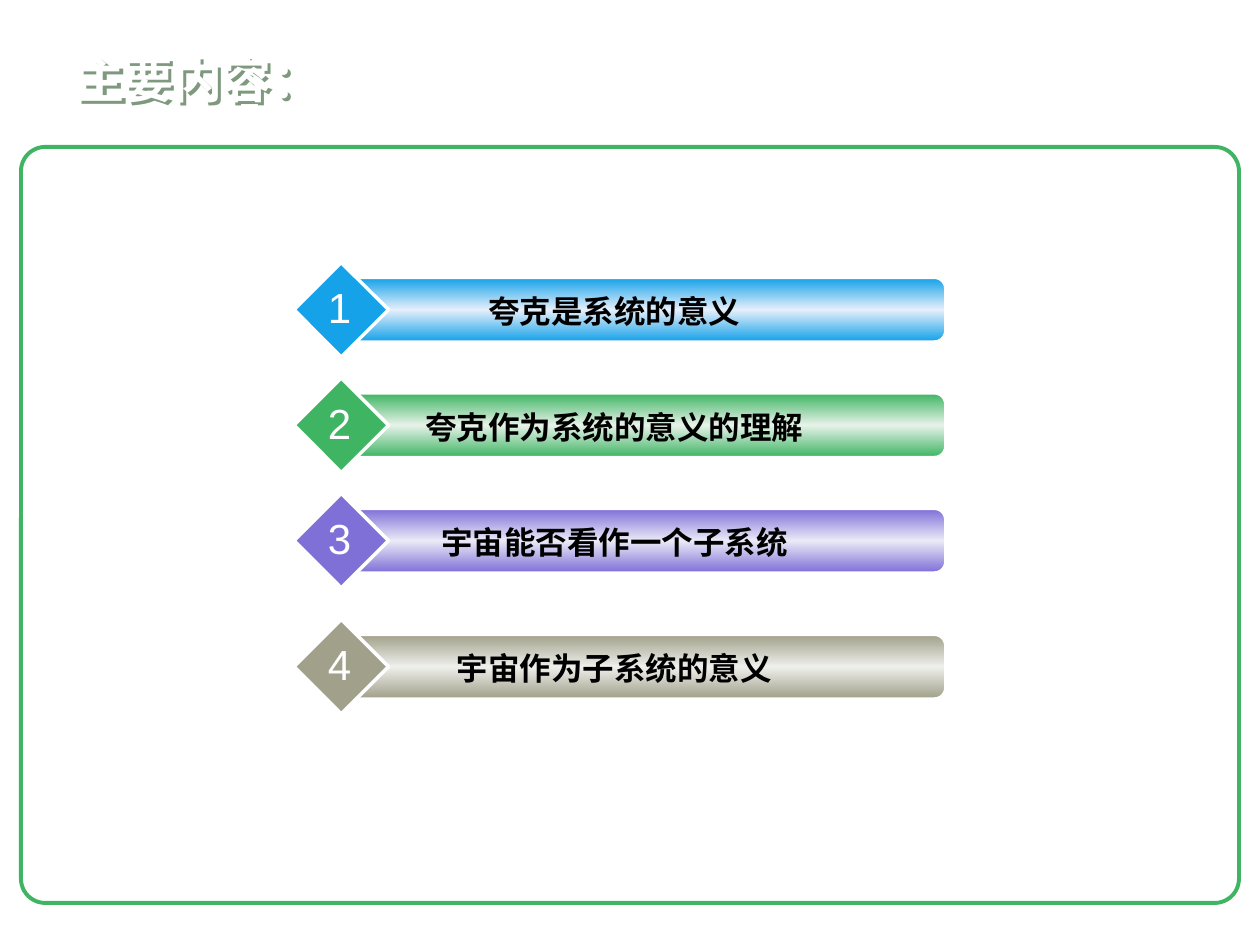
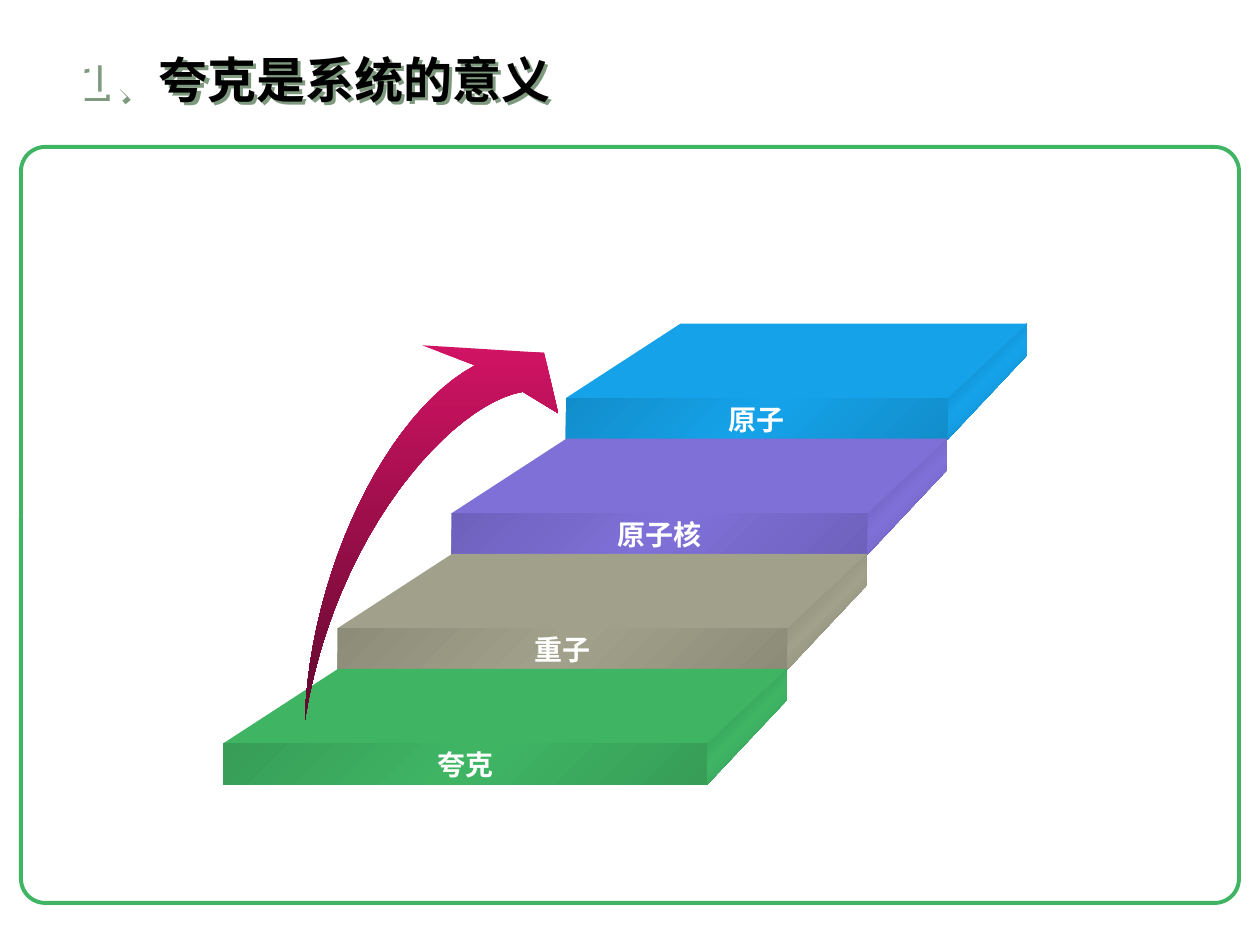
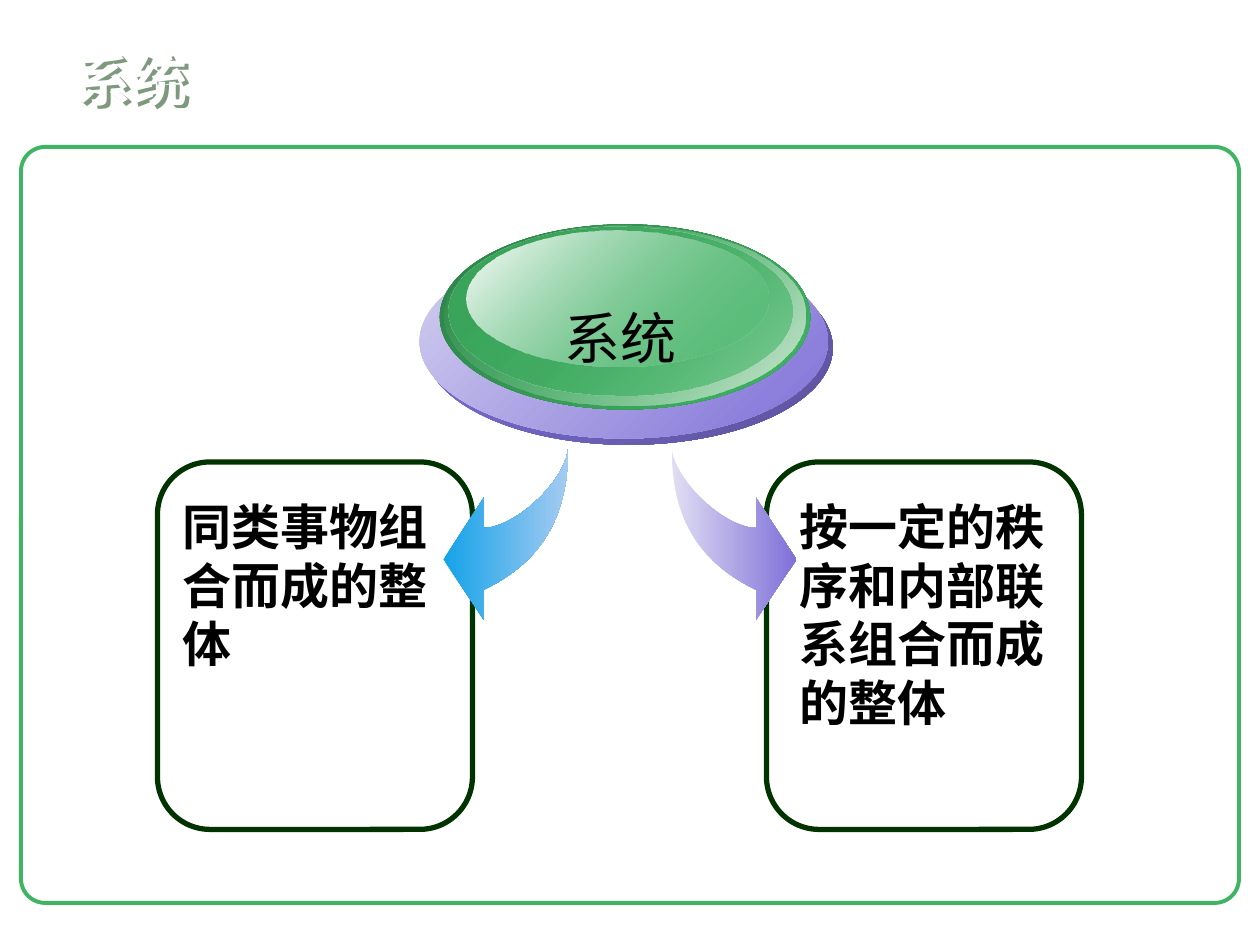
"""Build three slides on quarks, systems and the universe."""
import dataclasses

import lxml.etree
import pptx
import pptx.dml.color
import pptx.enum.shapes
import pptx.enum.text
import pptx.oxml.ns
import pptx.util

SHAPE = pptx.enum.shapes.MSO_SHAPE
ALIGN = pptx.enum.text.PP_ALIGN
ANCHOR = pptx.enum.text.MSO_ANCHOR


@dataclasses.dataclass(frozen=True)
class Hue:
    """One accent colour with its highlight and shades."""
    base: str
    glow: str
    side: str
    face: str


@dataclasses.dataclass(frozen=True)
class Theme:
    """Colours, fonts and type sizes shared by the slides."""
    blue: Hue = Hue("15A2E9", "E6EFFB", "0F74A7", "128DCB")
    green: Hue = Hue("3FB564", "E7F2E9", "2D8148", "379D57")
    violet: Hue = Hue("7F70D8", "EBEAF7", "5B509B", "6E61BC")
    stone: Hue = Hue("A1A18B", "EFEFEC", "737363", "8C8C79")
    white: str = "FFFFFF"
    black: str = "000000"
    panel_edge: str = "003300"
    title_shadow: str = "7F997F"
    body_font: str = "Arial"
    heading_font: str = "DejaVu Sans"
    title_size: int = 28
    large_size: int = 32
    panel_size: int = 28
    number_size: int = 24
    item_size: int = 18
    step_size: int = 16


THEME = Theme()


def points(*values):
    """Convert numbers to lengths in points."""
    return [pptx.util.Pt(value) for value in values]


def rgb(colour):
    """Turn a hex string into a colour."""
    return pptx.dml.color.RGBColor.from_string(colour)


def apply_format(target, values):
    """Set every attribute named in a dict of format values."""
    for attribute, value in values.items():
        setattr(target, attribute, value)


def type_style(size, bold=True, name=THEME.body_font):
    """Give the font values for a kind of text."""
    return {"size": pptx.util.Pt(size), "bold": bold, "name": name}


def add_node(parent, tag, **attributes):
    """Append a drawing element to a parent."""
    node = lxml.etree.SubElement(parent, pptx.oxml.ns.qn(tag))
    for name, value in attributes.items():
        node.set(name, str(value))
    return node


def paint_gradient(part, stops, angle):
    """Fill a part with (position, colour, opacity) stops, clockwise angle."""
    part.fill.gradient()
    stop_list = part.element.find(".//" + pptx.oxml.ns.qn("a:gsLst"))
    for stop in list(stop_list):
        stop_list.remove(stop)
    for position, colour, opacity in stops:
        stop = add_node(stop_list, "a:gs", pos=position * 1000)
        tint = add_node(stop, "a:srgbClr", val=colour)
        if opacity < 100:
            add_node(tint, "a:alpha", val=opacity * 1000)
    direction = part.element.find(".//" + pptx.oxml.ns.qn("a:lin"))
    direction.set("ang", str(angle * 60000))


def blend(start, end, angle, start_opacity=100, end_opacity=100):
    """Describe a gradient from one colour to another."""
    return [(0, start, start_opacity), (100, end, end_opacity)], angle


def sheen(edge, middle, angle):
    """Describe a gradient with equal edges around a middle colour."""
    return [(0, edge, 100), (50, middle, 100), (100, edge, 100)], angle


def finish(part, fill=None, line=None):
    """Give a part its fill and outline, without a shadow."""
    part.shadow.inherit = False
    if fill is None:
        part.fill.background()
    elif isinstance(fill, str):
        part.fill.solid()
        part.fill.fore_color.rgb = rgb(fill)
    else:
        paint_gradient(part, *fill)
    if line is None:
        part.line.fill.background()
    else:
        colour, width = line
        part.line.color.rgb = rgb(colour)
        part.line.width = pptx.util.Pt(width)
    return part


def add_preset(slide, kind, box, fill=None, line=None, corner=None):
    """Add a preset shape in a box given in points."""
    part = slide.shapes.add_shape(kind, *points(*box))
    if corner is not None:
        part.adjustments[0] = corner
    return finish(part, fill, line)


def add_outline(slide, corners, fill):
    """Add a closed outline through corners given in points."""
    start, *rest = [points(*corner) for corner in corners]
    builder = slide.shapes.build_freeform(*start, scale=1.0)
    builder.add_line_segments(rest, close=True)
    return finish(builder.convert_to_shape(), fill)


def curve(start, pull_start, pull_end, end, pieces=24):
    """Sample a cubic curve between two ends."""
    samples = []
    for piece in range(pieces + 1):
        t = piece / pieces
        weights = ((1 - t) ** 3, 3 * t * (1 - t) ** 2, 3 * t * t * (1 - t), t ** 3)
        controls = (start, pull_start, pull_end, end)
        samples.append(tuple(
            sum(weight * control[axis] for weight, control in zip(weights, controls))
            for axis in (0, 1)))
    return samples


def write(part, runs, style, align=ALIGN.LEFT, wrap=True, anchor=ANCHOR.TOP):
    """Write one paragraph of (words, colour) runs into a part."""
    frame = part.text_frame
    apply_format(frame, {"word_wrap": wrap, "vertical_anchor": anchor,
                         "auto_size": pptx.enum.text.MSO_AUTO_SIZE.NONE})
    paragraph = frame.paragraphs[0]
    paragraph.alignment = align
    for words, colour in runs:
        run = paragraph.add_run()
        run.text = words
        apply_format(run.font, style)
        run.font.color.rgb = rgb(colour)


def add_label(slide, box, words, style, colour=THEME.black, **layout):
    """Add free text in a box given in points."""
    label = slide.shapes.add_textbox(*points(*box))
    write(label, [(words, colour)], style, **layout)


def add_titled_slide(deck, runs, size=THEME.title_size):
    """Add a title-only slide with a shadowed title."""
    slide = deck.slides.add_slide(deck.slide_layouts[5])
    title = slide.shapes.title
    left, top, width, height = points(36, 24, 642, 42)
    apply_format(title, {"left": left, "top": top, "width": width, "height": height})
    write(title, runs, type_style(size, name=THEME.heading_font), anchor=ANCHOR.MIDDLE)
    effects = add_node(title.element.spPr, "a:effectLst")
    shadow = add_node(effects, "a:outerShdw", dist=pptx.util.Pt(2.8), dir=45 * 60000,
                      algn="ctr", rotWithShape=0)
    add_node(shadow, "a:srgbClr", val=THEME.title_shadow)
    return slide


def share_frame(slide):
    """Place the green content frame on the layout of a slide."""
    frame = add_preset(slide, SHAPE.ROUNDED_RECTANGLE, (12, 84, 696, 432),
                       line=(THEME.green.base, 2.25), corner=0.032)
    frame.element.nvSpPr.cNvPr.set("id", "20")
    slide.slide_layout.shapes.element.append(frame.element)


def add_agenda_item(slide, top, number, words, hue):
    """Add one numbered diamond with its glossy bar."""
    add_preset(slide, SHAPE.ROUNDED_RECTANGLE, (198, top + 9, 342, 36),
               sheen(hue.base, hue.glow, 90), (THEME.white, 1), 0.167)
    add_preset(slide, SHAPE.DIAMOND, (168, top, 54, 54), hue.base, (THEME.white, 2))
    add_label(slide, (216, top + 13.4, 270, 28.8), words,
              type_style(THEME.item_size), align=ALIGN.CENTER)
    add_label(slide, (180, top + 7.6, 28, 36), str(number),
              type_style(THEME.number_size, bold=False), THEME.white,
              align=ALIGN.CENTER, wrap=False)


def add_step(slide, level, words, hue):
    """Add one stair step, counted up from the lowest."""
    left, top = 127.6 + 65.2 * level, 424.8 - 65.75 * level
    width, height = 276.5 - 19.4 * level, 23.6
    right, back, rear = left + width, top - 42.6, left + width + 45.4
    add_outline(slide, [(rear, back + 18), (right, top + height), (right, top), (rear, back)],
                sheen(hue.side, hue.base, 45))
    add_outline(slide, [(right, top), (left, top), (left + 65.6, back), (rear, back)], hue.base)
    face = add_preset(slide, SHAPE.RECTANGLE, (left, top, width, height),
                      sheen(hue.face, hue.base, 45))
    write(face, [(words, THEME.white)],
          type_style(THEME.step_size, name=THEME.heading_font),
          ALIGN.CENTER, wrap=False, anchor=ANCHOR.MIDDLE)


def add_rising_arrow(slide):
    """Add the curved arrow that climbs the stairs."""
    tail = (174.2, 411.8)
    outer = curve(tail, (177.1, 325.4), (221.8, 235.4), (271.4, 208.8))
    head = [(241.2, 197.3), (311, 201.6), (319, 236.2)]
    inner = curve((298.8, 223.9), (259.2, 230.4), (191.5, 303.8), tail)
    add_outline(slide, outer + head + inner[:-1], blend("D11364", "61092E", 90))


def add_branch_arrow(slide, fill, mirrored=False):
    """Add a curved arrow from the disc to a panel."""
    tail = (324.7, 256.3)
    outer = curve(tail, (324.7, 295.2), (309.6, 321.1), (276.5, 337))
    head = [(276.5, 354.2), (253.4, 319.7), (276.5, 284.4)]
    inner = curve((276.5, 301.7), (293.8, 301.7), (322.6, 275.8), tail)
    corners = outer + head + inner[:-1]
    if mirrored:
        corners = [(708.5 - x, y) for x, y in corners]
    add_outline(slide, corners, fill)


def add_panel(slide, left, text_left, words):
    """Add an outlined panel with a definition."""
    add_preset(slide, SHAPE.ROUNDED_RECTANGLE, (left, 264, 180, 210),
               line=(THEME.panel_edge, 3), corner=0.167)
    add_label(slide, (text_left, 280, 160.6, 176), words, type_style(THEME.panel_size))


def add_disc(slide, words):
    """Add the layered glossy disc and its label."""
    green, violet = THEME.green, THEME.violet
    layers = [
        ((242.6, 143.3, 233.3, 110.9), blend(violet.base, "5D529E", 45)),
        ((239.8, 139.7, 233.3, 110.9), blend("D3D0EF", violet.base, 45)),
        ((251.3, 128.2, 211.7, 105.8), blend(green.side, green.base, 45)),
        ((254.2, 128.9, 205.9, 103), blend(green.base, "D6E9D9", 45, start_opacity=0)),
        ((256.3, 129.6, 196.6, 96.5), blend("39A45A", green.base, 45, end_opacity=48)),
        ((266.4, 131.8, 172.8, 77.8), blend(THEME.white, green.base, 45, end_opacity=38)),
    ]
    for box, fill in layers:
        add_preset(slide, SHAPE.OVAL, box, fill)
    add_label(slide, (315.4, 170, 78.5, 46), words,
              type_style(THEME.large_size, bold=False), align=ALIGN.CENTER, wrap=False)


def build_agenda(deck):
    """Build the slide of main contents."""
    slide = add_titled_slide(deck, [("主要内容：", THEME.white)])
    share_frame(slide)
    items = [
        (150, "夸克是系统的意义", THEME.blue),
        (216, "夸克作为系统的意义的理解", THEME.green),
        (282, "宇宙能否看作一个子系统", THEME.violet),
        (354, "宇宙作为子系统的意义", THEME.stone),
    ]
    for number, (top, words, hue) in enumerate(items, 1):
        add_agenda_item(slide, top, number, words, hue)


def build_stairs(deck):
    """Build the slide of stairs from quark to atom."""
    slide = add_titled_slide(
        deck, [("1、", THEME.white), ("夸克是系统的意义", THEME.black)])
    steps = [("夸克", THEME.green), ("重子", THEME.stone),
             ("原子核", THEME.violet), ("原子", THEME.blue)]
    for level, (words, hue) in reversed(list(enumerate(steps))):
        add_step(slide, level, words, hue)
    add_rising_arrow(slide)


def build_system(deck):
    """Build the slide that defines a system."""
    slide = add_titled_slide(deck, [("系统", THEME.white)], THEME.large_size)
    add_panel(slide, 90, 97.2, "同类事物组合而成的整体")
    add_panel(slide, 438, 450, "按一定的秩序和内部联系组合而成的整体")
    add_disc(slide, "系统")
    add_branch_arrow(slide, blend(THEME.blue.base, "A5CBF1", 0))
    add_branch_arrow(slide, blend("E1DEF3", THEME.violet.base, 0), mirrored=True)


def main():
    """Build the deck and save it."""
    deck = pptx.Presentation()
    width, height = points(720, 540)
    apply_format(deck, {"slide_width": width, "slide_height": height})
    build_agenda(deck)
    build_stairs(deck)
    build_system(deck)
    deck.save("out.pptx")


if __name__ == "__main__":
    main()
